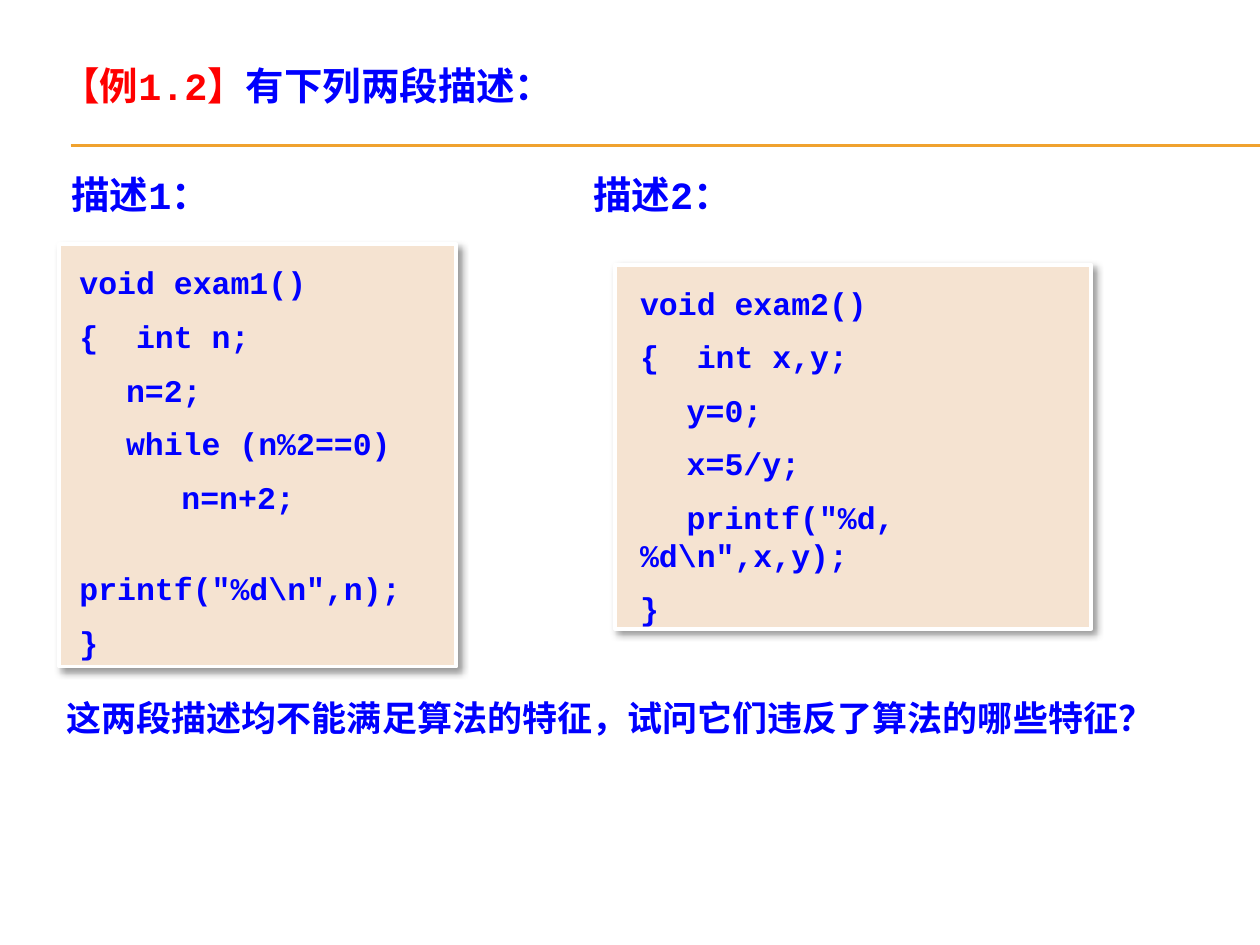
import pptx
import pptx.dml.color
import pptx.enum.shapes
import pptx.enum.text
import pptx.oxml
import pptx.oxml.ns
import pptx.util
import lxml.etree

Inches = pptx.util.Inches
Pt = pptx.util.Pt
HUES = {"blue": "0000FF", "red": "FF0000", "gold": "F0A22E",
        "sand": "F5E3D1", "white": "FFFFFF", "black": "000000"}
MONO = "Courier New"
STEP = 9      # points between code lines
GAP = 30.8    # points that leave one line free
TAB = 0.37    # first code indent
DEEP = 0.81   # loop body indent

# Each code line: text, indent in inches, space before in points
CODE_ONE = [("void exam1()", 0, 0), ("{  int n;", 0, STEP),
            ("n=2;", TAB, STEP), ("while (n%2==0)", TAB, STEP),
            ("n=n+2;", DEEP, STEP), ('printf("%d\\n",n);', 0, GAP),
            ("}", 0, STEP)]
CODE_TWO = [("void exam2()", 0, 0), ("{  int x,y;", 0, STEP),
            ("y=0;", TAB, STEP), ("x=5/y;", TAB, STEP),
            ('printf("%d,%d\\n",x,y);', TAB, STEP), ("}", 0, STEP)]


def hue(name):
    """Return the named colour."""
    return pptx.dml.color.RGBColor.from_string(HUES[name])


def add_run(para, text, size, tint="blue", face=MONO):
    """Add one bold run to a paragraph."""
    run = para.add_run()
    run.text = text
    run.font.size = Pt(size)
    run.font.bold = True
    run.font.name = face
    run.font.color.rgb = hue(tint)


def add_text(slide, box, runs):
    """Add a text box of one line, made of runs."""
    frame = slide.shapes.add_textbox(*map(Inches, box)).text_frame
    frame.word_wrap = True
    for run in runs:
        add_run(frame.paragraphs[0], *run)


def add_rule(slide, left, top, right):
    """Add a thin level line."""
    line = slide.shapes.add_connector(
        pptx.enum.shapes.MSO_CONNECTOR.STRAIGHT,
        Inches(left), Inches(top), Inches(right), Inches(top))
    line.line.color.rgb = hue("gold")
    line.line.width = Pt(0.75)
    lxml.etree.SubElement(line._element.spPr, pptx.oxml.ns.qn("a:effectLst"))


def add_shade(shape):
    """Give a shape a soft shadow to the lower right."""
    shape.shadow.inherit = False
    glow = shape._element.spPr.find(pptx.oxml.ns.qn("a:effectLst"))
    glow.append(pptx.oxml.parse_xml(
        f'<a:outerShdw {pptx.oxml.ns.nsdecls("a")} blurRad="{Pt(4)}" '
        f'dist="{Pt(3)}" dir="2700000" algn="tl" rotWithShape="0">'
        f'<a:srgbClr val="{HUES["black"]}"><a:alpha val="40000"/></a:srgbClr>'
        '</a:outerShdw>'))


def add_code(slide, box, inset, lines):
    """Add a framed panel with lines of code."""
    panel = slide.shapes.add_shape(
        pptx.enum.shapes.MSO_SHAPE.RECTANGLE, *map(Inches, box))
    panel.fill.solid()
    panel.fill.fore_color.rgb = hue("sand")
    panel.line.color.rgb = hue("white")
    panel.line.width = Pt(2.25)
    add_shade(panel)
    frame = panel.text_frame
    frame.word_wrap = True
    frame.vertical_anchor = pptx.enum.text.MSO_ANCHOR.TOP
    frame.margin_left = Inches(inset)
    frame.margin_top = frame.margin_bottom = Inches(0.15)
    for rank, (text, dent, gap) in enumerate(lines):
        para = frame.add_paragraph() if rank else frame.paragraphs[0]
        para.alignment = pptx.enum.text.PP_ALIGN.LEFT
        para.space_before = Pt(gap)
        para._p.get_or_add_pPr().set("indent", str(Inches(dent)))
        add_run(para, text, 18)


def main():
    """Build the slide and save it."""
    deck = pptx.Presentation()
    deck.slide_width, deck.slide_height = Inches(10), Inches(7.5)
    slide = deck.slides.add_slide(deck.slide_layouts[6])
    for top in (1.15, 1.16):
        add_rule(slide, 0.56, top, 10)
    add_text(slide, (0.39, 0.44, 4.53, 0.47),
             [("【例1.2】", 22, "red"), ("有下列两段描述：", 22)])
    for left, text in ((0.47, "描述1："), (4.61, "描述2：")):
        add_text(slide, (left, 1.31, 3.5, 0.47), [(text, 22)])
    add_code(slide, (0.47, 1.94, 3.15, 3.35), 0.16, CODE_ONE)
    add_code(slide, (4.88, 2.1, 3.78, 2.89), 0.2, CODE_TWO)
    add_text(slide, (0.43, 5.48, 9.06, 0.44),
             [("这两段描述均不能满足算法的特征，试问它们违反了算法的哪些特征？",
               20, "blue", "Times New Roman")])
    deck.save("out.pptx")


main()
